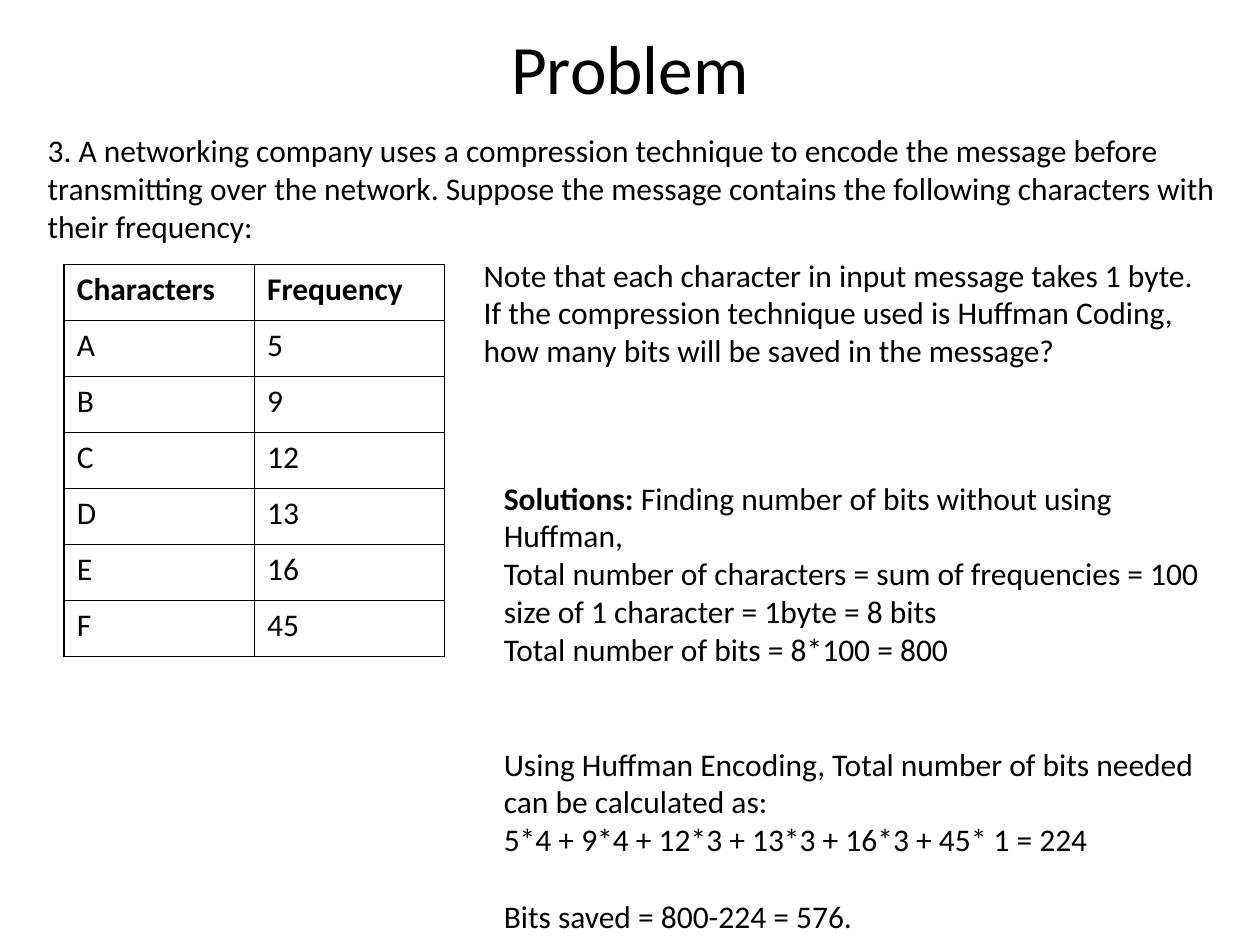
from lxml.etree import SubElement
from pptx import Presentation
from pptx.dml.color import RGBColor
from pptx.enum.text import MSO_ANCHOR, MSO_AUTO_SIZE, PP_ALIGN
from pptx.oxml.ns import qn
from pptx.util import Inches, Pt

COLORS = {"text": "000000", "border": "000000", "background": "FFFFFF"}
FONT = "Calibri"
BODY_SIZE = 18
LINE_HEIGHT = 22

FREQUENCIES = [
    ("Characters", "Frequency"),
    ("A", "5"), ("B", "9"), ("C", "12"),
    ("D", "13"), ("E", "16"), ("F", "45"),
]


def add_text(para, text, size=BODY_SIZE, bold=False, align=None, before=0):
    """Append text to a paragraph; each newline becomes a line break."""
    if align is not None:
        para.alignment = align
    if before:
        para.space_before = Pt(before)
    for index, line in enumerate(text.split("\n")):
        if index:
            para.add_line_break()
        span = para.add_run()
        span.text = line
        span.font.name = FONT
        span.font.size = Pt(size)
        span.font.bold = bold
        span.font.color.rgb = RGBColor.from_string(COLORS["text"])


def add_title(page, box, text):
    title = page.shapes.title
    title.left, title.top, title.width, title.height = map(Inches, box)
    frame = title.text_frame
    frame.auto_size = MSO_AUTO_SIZE.NONE
    frame.vertical_anchor = MSO_ANCHOR.MIDDLE
    add_text(frame.paragraphs[0], text, size=39.6, align=PP_ALIGN.CENTER)


def add_text_box(page, box, paragraphs):
    """Each paragraph is a list of (text, format) pairs."""
    frame = page.shapes.add_textbox(*map(Inches, box)).text_frame
    frame.word_wrap = True
    frame.auto_size = MSO_AUTO_SIZE.SHAPE_TO_FIT_TEXT
    for index, parts in enumerate(paragraphs):
        para = frame.add_paragraph() if index else frame.paragraphs[0]
        for text, style in parts:
            add_text(para, text, **style)


def add_borders(cell):
    properties = cell._tc.get_or_add_tcPr()
    for position, side in enumerate(("lnL", "lnR", "lnT", "lnB")):
        line = SubElement(properties, qn(f"a:{side}"), w=str(Pt(1)))
        fill = SubElement(line, qn("a:solidFill"))
        SubElement(fill, qn("a:srgbClr"), val=COLORS["border"])
        properties.remove(line)
        properties.insert(position, line)


def add_frequency_table(page, box):
    row_count, column_count = len(FREQUENCIES), len(FREQUENCIES[0])
    table = page.shapes.add_table(row_count, column_count, *map(Inches, box)).table
    for row_index, values in enumerate(FREQUENCIES):
        for column_index, value in enumerate(values):
            cell = table.cell(row_index, column_index)
            cell.fill.solid()
            cell.fill.fore_color.rgb = RGBColor.from_string(COLORS["background"])
            add_borders(cell)
            add_text(cell.text_frame.paragraphs[0], value, bold=row_index == 0)


def main():
    deck = Presentation()
    deck.slide_width, deck.slide_height = Inches(10), Inches(7.5)
    page = deck.slides.add_slide(deck.slide_layouts[5])

    # Title and problem statement
    add_title(page, (0.5, 0.3, 9, 0.46), "Problem")
    add_text_box(page, (0.28, 0.99, 9.53, 1.01), [
        [("3. A networking company uses a compression technique to encode the "
          "message before transmitting over the network. Suppose the message "
          "contains the following characters with their frequency:", {})],
    ])

    # Character frequencies
    add_frequency_table(page, (0.51, 2.1, 3.02, 3.11))

    # Question
    add_text_box(page, (3.74, 1.98, 5.91, 1.01), [
        [("Note that each character in input message takes 1 byte.", {})],
        [("If the compression technique used is Huffman Coding, how many bits "
          "will be saved in the message?", {})],
    ])

    # Solution
    add_text_box(page, (3.9, 3.75, 5.91, 3.74), [
        [("Solutions:", {"bold": True}),
         (" Finding number of bits without using Huffman,\n"
          "Total number of characters = sum of frequencies = 100\n"
          "size of 1 character = 1byte = 8 bits\n"
          "Total number of bits = 8*100 = 800", {})],
        [("Using Huffman Encoding, Total number of bits needed can be "
          "calculated as:", {"before": 2 * LINE_HEIGHT})],
        [("5*4 + 9*4 + 12*3 + 13*3 + 16*3 + 45* 1 = 224", {})],
        [("Bits saved = 800-224 = 576.", {"before": LINE_HEIGHT})],
    ])

    deck.save("out.pptx")


if __name__ == "__main__":
    main()
